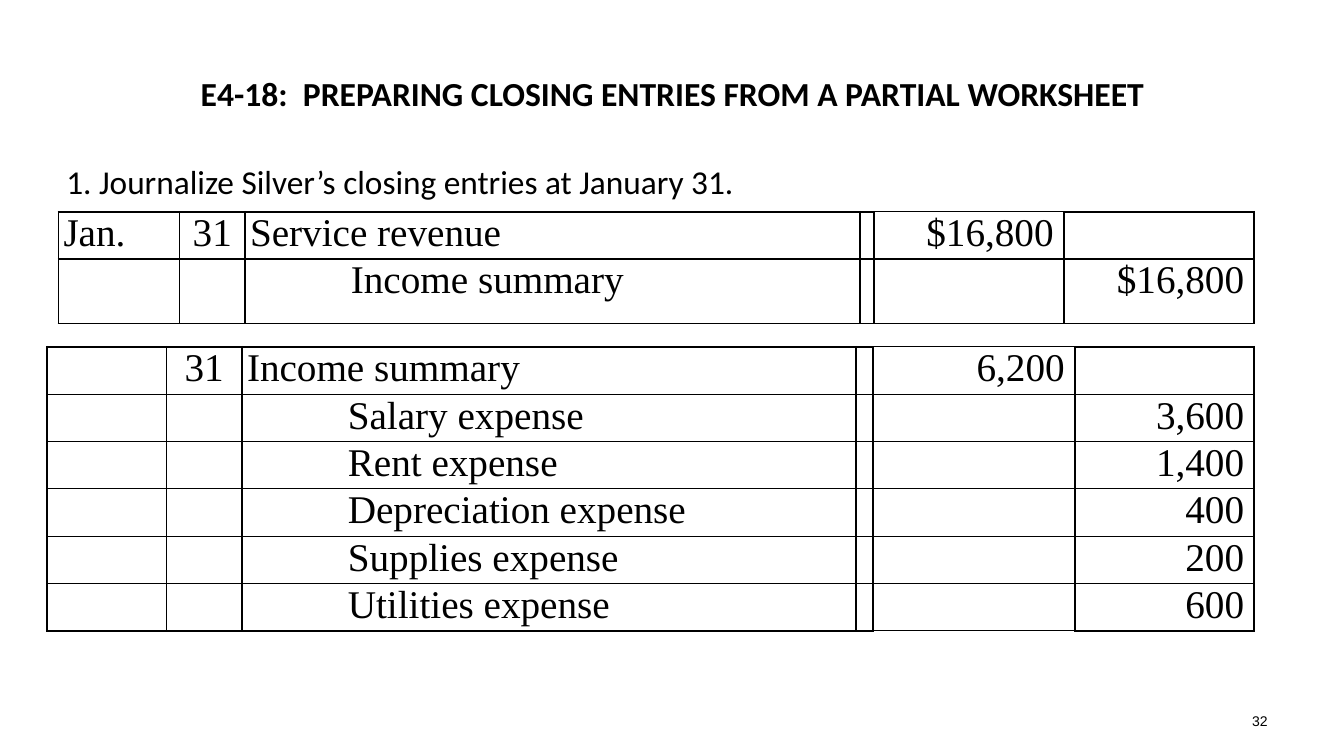
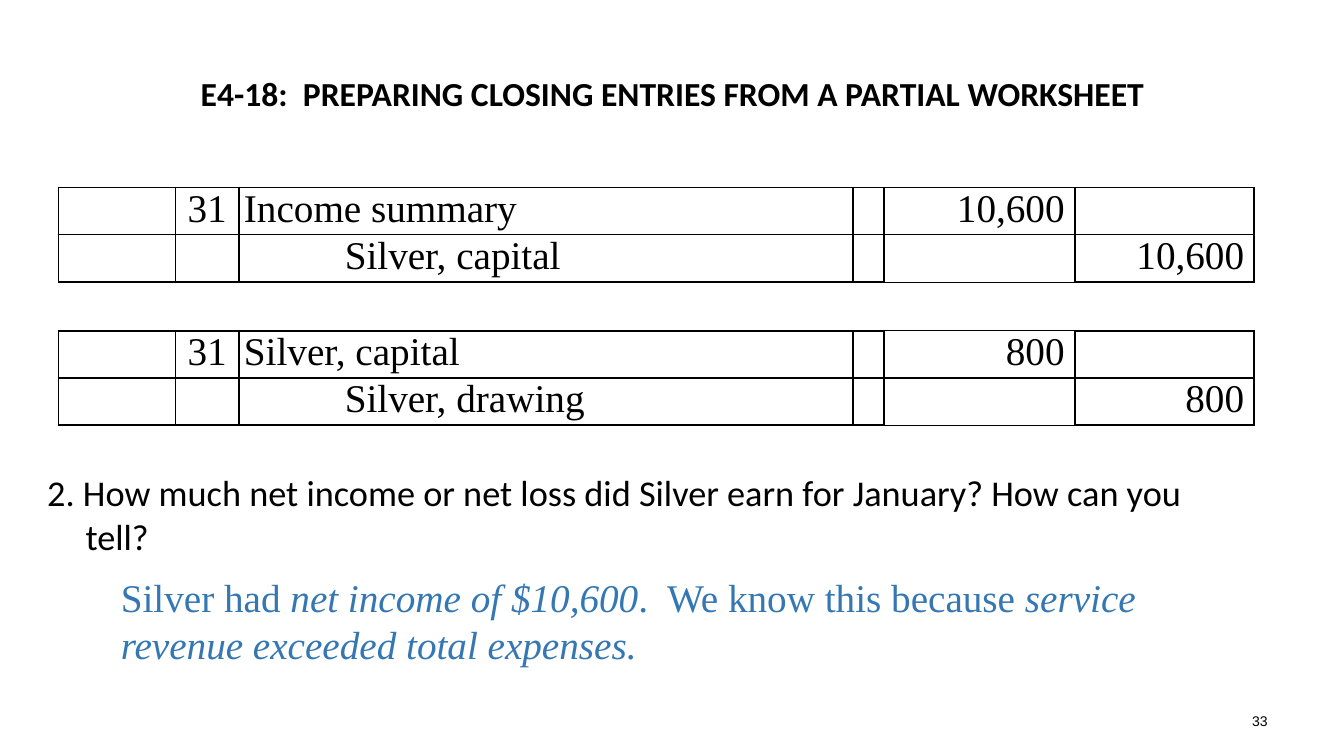
"""Build two slides of closing journal entries."""
from lxml import etree
from pptx import Presentation
from pptx import util as u
from pptx.dml.color import RGBColor
from pptx.enum import text
from pptx.oxml import ns

BLACK = RGBColor(0x00, 0x00, 0x00)
BLUE = RGBColor(0x34, 0x77, 0xB2)
SERIF = "Times New Roman"
TITLE = "E4-18:  PREPARING CLOSING ENTRIES FROM A PARTIAL WORKSHEET"
LEFT, CENTER, RIGHT = text.PP_ALIGN.LEFT, text.PP_ALIGN.CENTER, text.PP_ALIGN.RIGHT
COLUMN_ALIGNS = (LEFT, CENTER, LEFT, LEFT, RIGHT, RIGHT)
COLUMN_EDGES = (1.5, 1, 1.5, 1, 1.5, 1.5, 1.5)
ACCOUNT, DEBIT = 2, 4


class JournalDeck:
    """Hold the deck style and the current page."""

    formats = {
        "title": {"size": u.Pt(24), "name": "Calibri", "bold": True},
        "question": {"name": "Calibri"},
        "answer": {"size": u.Pt(28), "name": SERIF},
        "entry": {"size": u.Pt(28), "name": SERIF},
        "number": {"size": u.Pt(10), "name": "Arial"},
    }

    def __init__(self):
        self.deck = Presentation()
        self.deck.slide_width = u.Inches(13.33)
        self.deck.slide_height = u.Inches(7.5)
        self.page = None

    def style(self, font, kind, color=BLACK, **extra):
        """Apply a named format to a font."""
        for name, value in {**self.formats[kind], **extra}.items():
            setattr(font, name, value)
        font.color.rgb = color

    def place(self, shape, left, top, width, height):
        """Move and size a shape."""
        bounds = {"left": left, "top": top, "width": width, "height": height}
        for name, value in bounds.items():
            setattr(shape, name, u.Inches(value))

    def add_page(self, number):
        """Start a page with its title and number."""
        self.page = self.deck.slides.add_slide(self.deck.slide_layouts[5])
        title = self.page.shapes.title
        self.place(title, 0.67, 0.3, 12, 1.25)
        title.text_frame.vertical_anchor = text.MSO_ANCHOR.MIDDLE
        paragraph = title.text_frame.paragraphs[0]
        paragraph.alignment = CENTER
        self.add_span(paragraph, TITLE, "title")
        paragraph = self.add_box(9.56, 6.95, 3.11, 0.4, text.MSO_ANCHOR.MIDDLE)
        paragraph.alignment = RIGHT
        self.add_span(paragraph, str(number), "number")

    def add_box(self, left, top, width, height, anchor=text.MSO_ANCHOR.TOP):
        """Add a wrapping text box and return its paragraph."""
        box = self.page.shapes.add_textbox(*map(u.Inches, (left, top, width, height)))
        box.text_frame.word_wrap = True
        box.text_frame.vertical_anchor = anchor
        return box.text_frame.paragraphs[0]

    def add_span(self, paragraph, words, kind, color=BLACK, **extra):
        """Add one formatted span to a paragraph."""
        span = paragraph.add_run()
        span.text = words
        self.style(span.font, kind, color, **extra)

    def add_question(self, words, size, *bounds):
        """Add a question with a hanging indent."""
        paragraph = self.add_box(*bounds)
        properties = paragraph._p.get_or_add_pPr()
        properties.set("marL", str(u.Inches(0.38)))
        properties.set("indent", str(u.Inches(-0.38)))
        self.add_span(paragraph, words, "question", size=u.Pt(size))

    def add_answer(self, spans, *bounds):
        """Add an answer from pairs of words and italic."""
        paragraph = self.add_box(*bounds)
        for words, italic in spans:
            self.add_span(paragraph, words, "answer", BLUE, italic=italic)

    def add_border(self, cell, side, width):
        """Draw one black edge of a cell."""
        properties = cell._tc.get_or_add_tcPr()
        line = etree.SubElement(properties, ns.qn(f"a:ln{side}"), w=str(u.Pt(width)))
        fill = etree.SubElement(line, ns.qn("a:solidFill"))
        etree.SubElement(fill, ns.qn("a:srgbClr"), val=str(BLACK))

    def add_entry(self, left, top, widths, debit, credits, month="", last_height=0.47):
        """Add a journal entry with one debit and its credits."""
        rows = [(month, "31", debit[0], "", debit[1], "")]
        rows += [("", "", account, "", "", amount) for account, amount in credits]
        heights = [0.47] * len(credits) + [last_height]
        bounds = map(u.Inches, (left, top, sum(widths), sum(heights)))
        table = self.page.shapes.add_table(len(rows), len(widths), *bounds).table
        table.first_row = table.horz_banding = False
        for column, width in zip(table.columns, widths):
            column.width = u.Inches(width)
        for index, (row, height) in enumerate(zip(table.rows, heights)):
            row.height = u.Inches(height)
            for column, cell in enumerate(row.cells):
                outer = 1 if column == DEBIT else 1.5
                edges = {
                    "L": COLUMN_EDGES[column],
                    "R": COLUMN_EDGES[column + 1],
                    "T": outer if index == 0 else 1,
                    "B": outer if index == len(credits) else 1,
                }
                for side, width in edges.items():
                    self.add_border(cell, side, width)
                cell.fill.background()
                indented = index > 0 and column == ACCOUNT
                margins = {
                    "margin_left": 1.05 if indented else 0.05,
                    "margin_right": 0.1 if column >= DEBIT else 0.05,
                    "margin_top": 0,
                    "margin_bottom": 0,
                }
                for name, value in margins.items():
                    setattr(cell, name, u.Inches(value))
                paragraph = cell.text_frame.paragraphs[0]
                paragraph.alignment = COLUMN_ALIGNS[column]
                if rows[index][column]:
                    self.add_span(paragraph, rows[index][column], "entry")


def main():
    """Build and save the deck."""
    journal = JournalDeck()

    journal.add_page(32)
    journal.add_question("1. Journalize Silver’s closing entries at January 31.",
                         23.8, 0.56, 1.55, 12.22, 0.42)
    journal.add_entry(0.58, 2.1, (1.2, 0.65, 6.1, 0.14, 1.88, 1.89),
                      ("Service revenue", "$16,800"), [("Income summary", "$16,800")],
                      month="Jan.", last_height=0.64)
    expenses = [("Salary expense", "3,600"), ("Rent expense", "1,400"),
                ("Depreciation expense", "400"), ("Supplies expense", "200"),
                ("Utilities expense", "600")]
    journal.add_entry(0.47, 3.44, (1.18, 0.75, 6.09, 0.17, 2, 1.78),
                      ("Income summary", "6,200"), expenses)

    journal.add_page(33)
    widths = (1.16, 0.63, 6.09, 0.31, 1.89, 1.78)
    journal.add_entry(0.58, 1.86, widths, ("Income summary", "10,600"),
                      [("Silver, capital", "10,600")])
    journal.add_entry(0.58, 3.28, widths, ("Silver, capital", "800"),
                      [("Silver, drawing", "800")])
    journal.add_question("2. How much net income or net loss did Silver earn for January? "
                         "How can you tell?", 25.9, 0.37, 4.62, 12.08, 0.85)
    journal.add_answer([("Silver had ", False), ("net income of $10,600", True),
                        (".  We know this because ", False),
                        ("service revenue exceeded total expenses.", True)],
                       1.1, 5.64, 10.92, 1.04)

    journal.deck.save("out.pptx")


if __name__ == "__main__":
    main()
